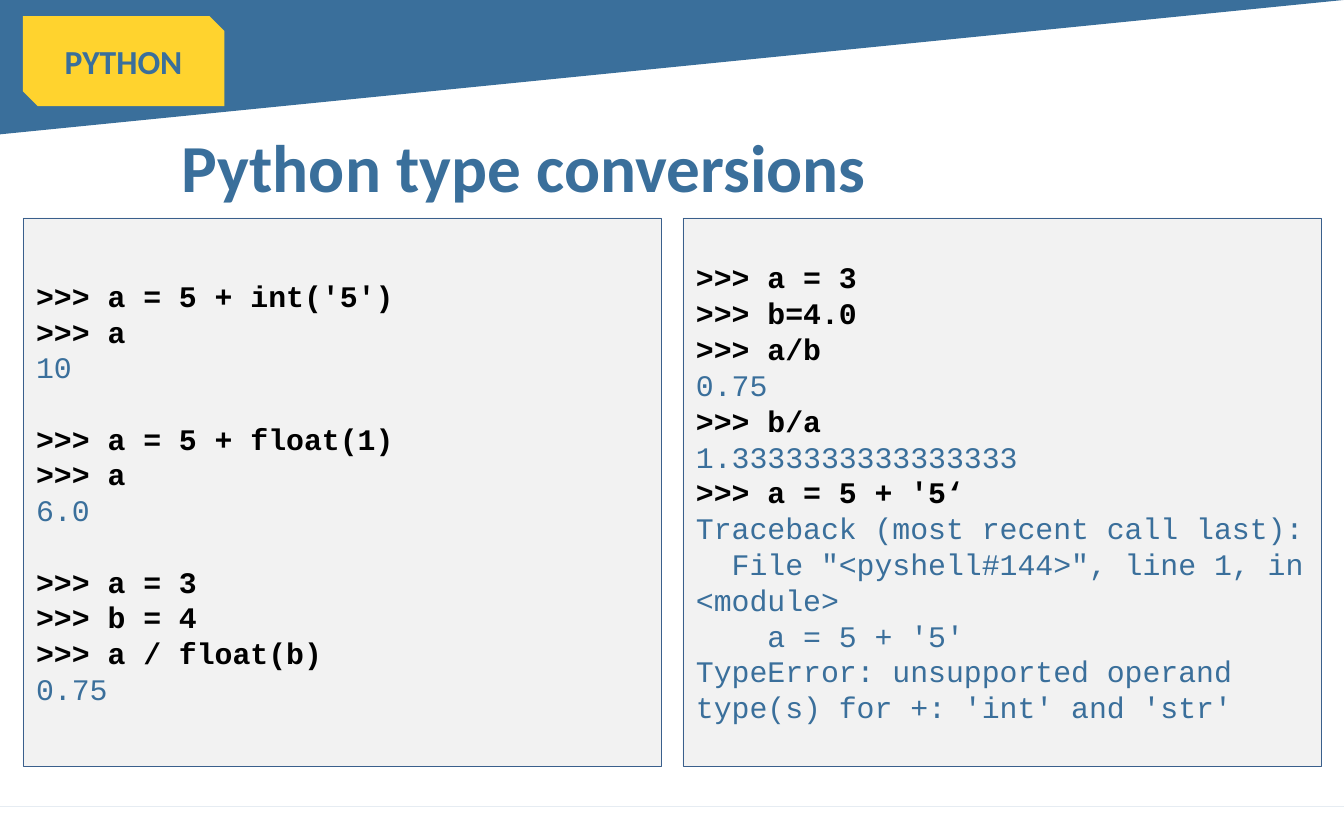
from pptx import Presentation
from pptx.dml.color import RGBColor
from pptx.enum.shapes import MSO_SHAPE
from pptx.enum.text import MSO_ANCHOR, MSO_AUTO_SIZE, PP_ALIGN
from pptx.util import Inches, Pt

RECTANGLE = MSO_SHAPE.RECTANGLE
SNIPPED_RECTANGLE = MSO_SHAPE.SNIP_2_DIAG_RECTANGLE
MIDDLE = MSO_ANCHOR.MIDDLE
LEFT, CENTER = PP_ALIGN.LEFT, PP_ALIGN.CENTER
SHAPE_TO_FIT_TEXT = MSO_AUTO_SIZE.SHAPE_TO_FIT_TEXT

BLUE, YELLOW, BLACK = "3A6F9B", "FFD32E", "000000"
PANEL_FILL, PANEL_LINE = "F2F2F2", "3A5F8C"
PROMPT = ">>>"
BLOCK_GAP = Pt(19)


def paint(shape, fill, line=None):
    """Give a shape a flat fill, an optional thin outline and no shadow."""
    shape.shadow.inherit = False
    shape.fill.solid()
    shape.fill.fore_color.rgb = RGBColor.from_string(fill)
    if line:
        shape.line.color.rgb = RGBColor.from_string(line)
        shape.line.width = Pt(0.25)
    else:
        shape.line.fill.background()


def set_font(paragraph, name, size, color, bold):
    paragraph.font.name = name
    paragraph.font.size = Pt(size)
    paragraph.font.bold = bold
    paragraph.font.color.rgb = RGBColor.from_string(color)


presentation = Presentation()
presentation.slide_width = Inches(10)
presentation.slide_height = Inches(6.25)
slide = presentation.slides.add_slide(presentation.slide_layouts[5])

# Slanted bands along the bottom and top edges
bands = [
    [(10, 6.29), (-0.17, 6.29), (10, 5.75)],
    [(-0.01, -0.01), (10.01, -0.01), (-0.01, 0.53)],
]
for start, *corners in bands:
    builder = slide.shapes.build_freeform(*start, scale=Inches(1))
    builder.add_line_segments(corners, close=True)
    paint(builder.convert_to_shape(), BLUE)

# Topic tag
tag = slide.shapes.add_shape(
    SNIPPED_RECTANGLE, Inches(0.17), Inches(0.12), Inches(1.5), Inches(0.67))
paint(tag, YELLOW)
tag.text_frame.vertical_anchor = MIDDLE
paragraph = tag.text_frame.paragraphs[0]
paragraph.text = "PYTHON"
paragraph.alignment = CENTER
set_font(paragraph, "Calibri", 18, BLUE, True)

# Title
title = slide.shapes.title
title.left, title.top = Inches(1.25), Inches(0.88)
title.width, title.height = Inches(5.35), Inches(0.71)
title.text_frame.word_wrap = False
title.text_frame.auto_size = SHAPE_TO_FIT_TEXT
paragraph = title.text_frame.paragraphs[0]
paragraph.text = "Python type conversions"
paragraph.alignment = LEFT
set_font(paragraph, "Calibri", 36, BLUE, True)

# Interpreter sessions: each panel holds blocks of lines set apart by a gap
sessions = [
    [
        [">>> a = 5 + int('5')", ">>> a", "10"],
        [">>> a = 5 + float(1)", ">>> a", "6.0"],
        [">>> a = 3", ">>> b = 4", ">>> a / float(b)", "0.75"],
    ],
    [
        [
            ">>> a = 3",
            ">>> b=4.0",
            ">>> a/b",
            "0.75",
            ">>> b/a",
            "1.3333333333333333",
            ">>> a = 5 + '5‘",
            "Traceback (most recent call last):",
            '  File "<pyshell#144>", line 1, in <module>',
            "    a = 5 + '5'",
            "TypeError: unsupported operand type(s) for +: 'int' and 'str'",
        ],
    ],
]
for left, blocks in zip((0.17, 5.08), sessions):
    panel = slide.shapes.add_shape(
        RECTANGLE, Inches(left), Inches(1.62), Inches(4.75), Inches(4.08))
    paint(panel, PANEL_FILL, PANEL_LINE)
    frame = panel.text_frame
    frame.word_wrap = True
    frame.vertical_anchor = MIDDLE
    paragraph = frame.paragraphs[0]
    for block_index, block in enumerate(blocks):
        for line_index, line in enumerate(block):
            if block_index or line_index:
                paragraph = frame.add_paragraph()
            if block_index and line_index == 0:
                paragraph.space_before = BLOCK_GAP
            paragraph.text = line
            paragraph.alignment = LEFT
            is_input = line.startswith(PROMPT)
            set_font(paragraph, "Courier New", 16,
                     BLACK if is_input else BLUE, is_input)

presentation.save("out.pptx")
